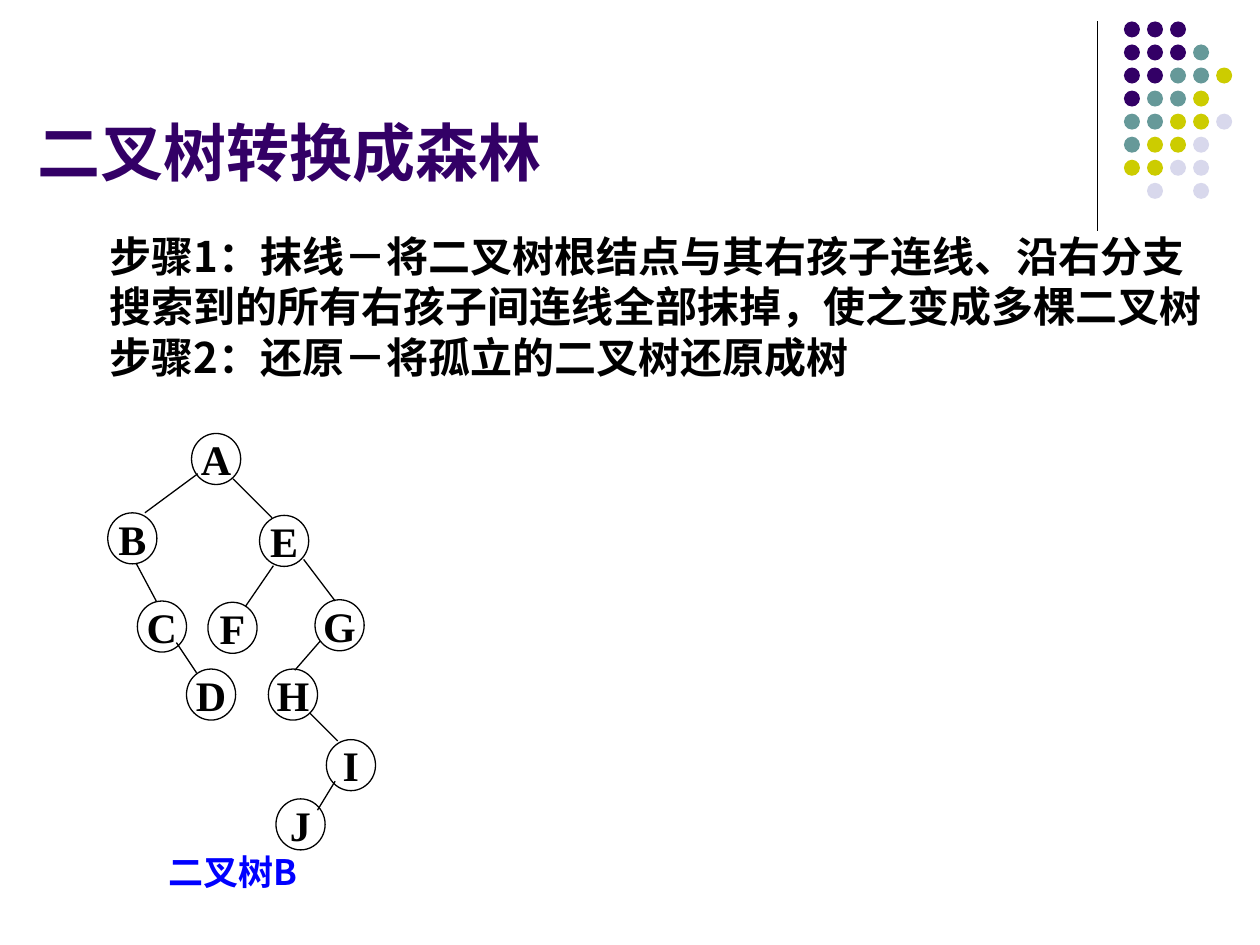
from typing import NamedTuple

from lxml import etree
from pptx import Presentation, util as u
from pptx.dml.color import RGBColor
from pptx.enum import shapes as sh, text as tx
from pptx.oxml.ns import qn

# The slide is a grid of 100 columns by 75 rows.
COLS, ROWS = 100, 75
CELL = u.Inches(0.1)

BLACK = RGBColor(0x00, 0x00, 0x00)
BLUE = RGBColor(0x00, 0x00, 0xFF)
PURPLE = RGBColor(0x33, 0x00, 0x66)
TEAL = RGBColor(0x66, 0x99, 0x99)
OLIVE = RGBColor(0xCC, 0xCC, 0x00)
PALE = RGBColor(0xD8, 0xD8, 0xEC)

HAN = "Noto Sans CJK SC"
SERIF = "Times New Roman"

DOTS = ["PPP", "PPPT", "PPTTO", "PTTO", "TTOOL", "TOOL", "OOLL", " L L"]
TINTS = {"P": PURPLE, "T": TEAL, "O": OLIVE, "L": PALE}
DOT_X, DOT_Y, DOT_STEP, DOT_SIZE = 89.2, 1.7, 1.83, 1.27
NODE_W, NODE_H = 3.9, 4.05


class Box(NamedTuple):
    col: float
    row: float
    wide: float
    high: float


class Font(NamedTuple):
    name: str
    size: int
    color: RGBColor


class Node(NamedTuple):
    name: str
    col: float
    row: float


class Edge(NamedTuple):
    col: float
    row: float
    to_col: float
    to_row: float


NODES = [
    Node("A", 15.2, 34.4), Node("B", 8.55, 40.7), Node("C", 10.9, 47.7),
    Node("D", 14.8, 53.1), Node("E", 20.6, 40.9), Node("F", 16.5, 47.8),
    Node("G", 25, 47.6), Node("H", 21.3, 53.1), Node("I", 25.9, 58.7),
    Node("J", 21.9, 63.4),
]
EDGES = [
    Edge(15.7, 37.6, 11.5, 40.7),  # A-B
    Edge(10.8, 44.7, 12.4, 47.7),  # B-C
    Edge(14, 51, 15.6, 53.4),      # C-D
    Edge(18.5, 38, 21.6, 41.1),    # A-E
    Edge(21.7, 44.9, 19.5, 48.1),  # E-F
    Edge(24.1, 44.4, 26.6, 47.7),  # E-G
    Edge(25.4, 50.9, 23.4, 53.2),  # G-H
    Edge(24.6, 56.6, 26.8, 58.8),  # H-I
    Edge(26.6, 62, 25.2, 64.3),    # I-J
]


def cells(*counts: float) -> list[int]:
    return [round(n * CELL) for n in counts]


def style(frame, font: Font) -> None:
    """Format every run, for Latin and East Asian letters alike."""
    for para in frame.paragraphs:
        for run in para.runs:
            run.font.name, run.font.bold = font.name, True
            run.font.size = u.Pt(font.size)
            run.font.color.rgb = font.color
            east = etree.SubElement(run.font._element, qn("a:ea"))
            east.set("typeface", HAN)


def write(slide, box: Box, words: str, font: Font, indent: float = 0,
          anchor=tx.MSO_ANCHOR.TOP) -> None:
    frame = slide.shapes.add_textbox(*cells(*box)).text_frame
    frame.word_wrap = True
    frame.vertical_anchor = anchor
    frame.text = words
    for para in frame.paragraphs:
        props = para._p.get_or_add_pPr()
        props.set("marL", str(cells(indent)[0]))
        props.set("indent", "0")
    style(frame, font)


def oval(slide, box: Box):
    shape = slide.shapes.add_shape(sh.MSO_SHAPE.OVAL, *cells(*box))
    shape.shadow.inherit = False
    return shape


def draw_dots(slide) -> None:
    for row, marks in enumerate(DOTS):
        for col, mark in enumerate(marks):
            if mark in TINTS:
                dot = oval(slide, Box(DOT_X + col * DOT_STEP,
                                      DOT_Y + row * DOT_STEP,
                                      DOT_SIZE, DOT_SIZE))
                dot.fill.solid()
                dot.fill.fore_color.rgb = TINTS[mark]
                dot.line.fill.background()


def draw_node(slide, node: Node) -> None:
    shape = oval(slide, Box(node.col, node.row, NODE_W, NODE_H))
    shape.fill.background()
    shape.line.color.rgb = BLACK
    shape.line.width = u.Pt(0.75)
    frame = shape.text_frame
    frame.word_wrap = False
    frame.vertical_anchor = tx.MSO_ANCHOR.MIDDLE
    frame.text = node.name
    frame.paragraphs[0].alignment = tx.PP_ALIGN.CENTER
    style(frame, Font(SERIF, 24, BLACK))


def draw_edge(slide, edge: Edge) -> None:
    line = slide.shapes.add_connector(sh.MSO_CONNECTOR.STRAIGHT, *cells(*edge))
    line.line.color.rgb = BLACK
    line.line.width = u.Pt(0.75)
    etree.SubElement(line._element.spPr, qn("a:effectLst"))


def main() -> None:
    deck = Presentation()
    deck.slide_width, deck.slide_height = cells(COLS, ROWS)
    slide = deck.slides.add_slide(deck.slide_layouts[6])

    draw_edge(slide, Edge(87.1, 1.7, 87.1, 18.3))
    draw_dots(slide)
    write(slide, Box(2, 1.3, 82.5, 14.2), "二叉树转换成森林",
          Font("Arial", 36, PURPLE), anchor=tx.MSO_ANCHOR.BOTTOM)
    write(slide, Box(2.7, 17.8, 94.5, 13),
          "步骤1：抹线－将二叉树根结点与其右孩子连线、沿右分支"
          "搜索到的所有右孩子间连线全部抹掉，使之变成多棵二叉树\n"
          "步骤2：还原－将孤立的二叉树还原成树",
          Font(HAN, 24, BLACK), indent=5)
    write(slide, Box(12.4, 67, 15, 4.4), "二叉树B", Font(HAN, 20, BLUE))
    for node in NODES:
        draw_node(slide, node)
    for edge in EDGES:
        draw_edge(slide, edge)

    deck.save("out.pptx")


if __name__ == "__main__":
    main()
